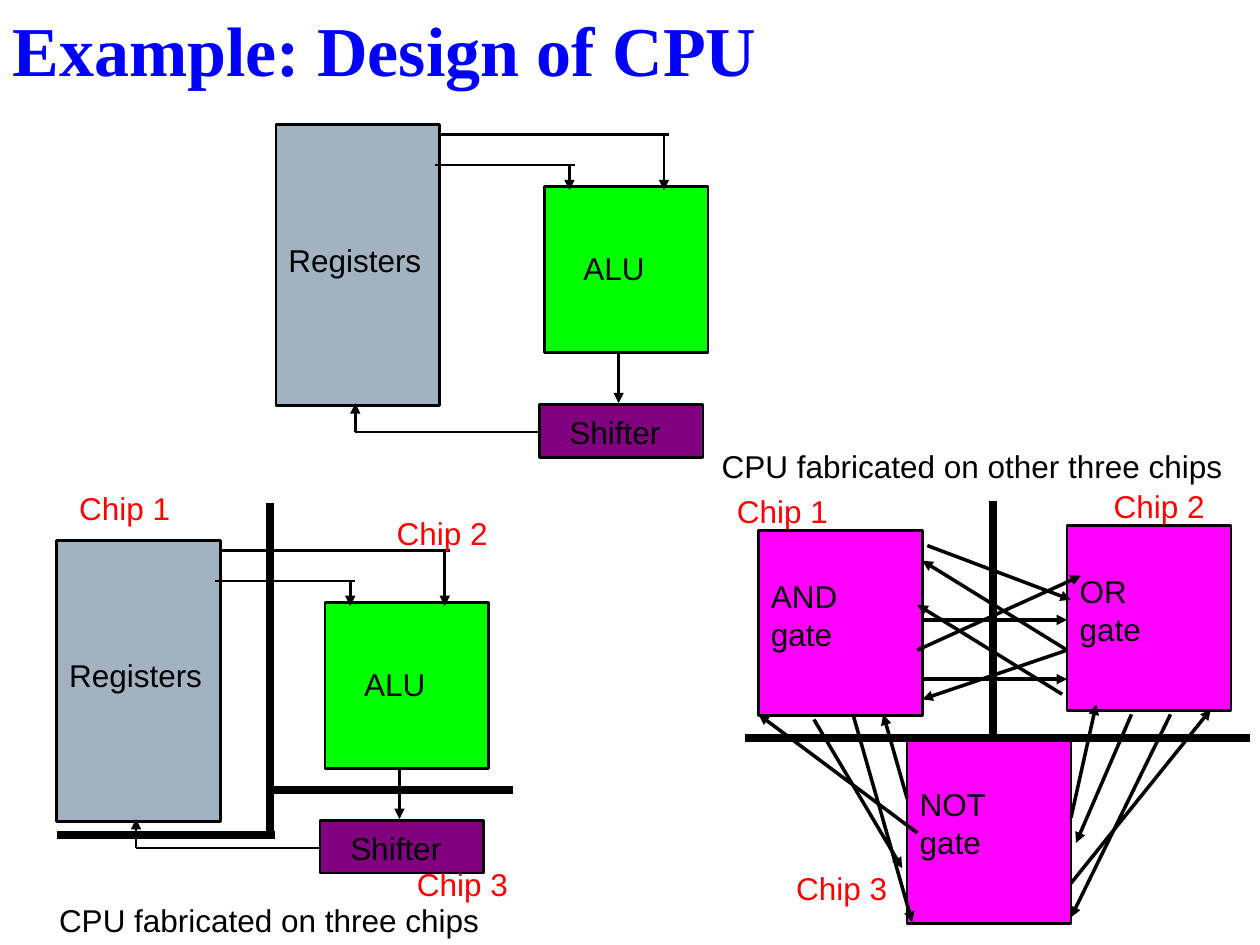
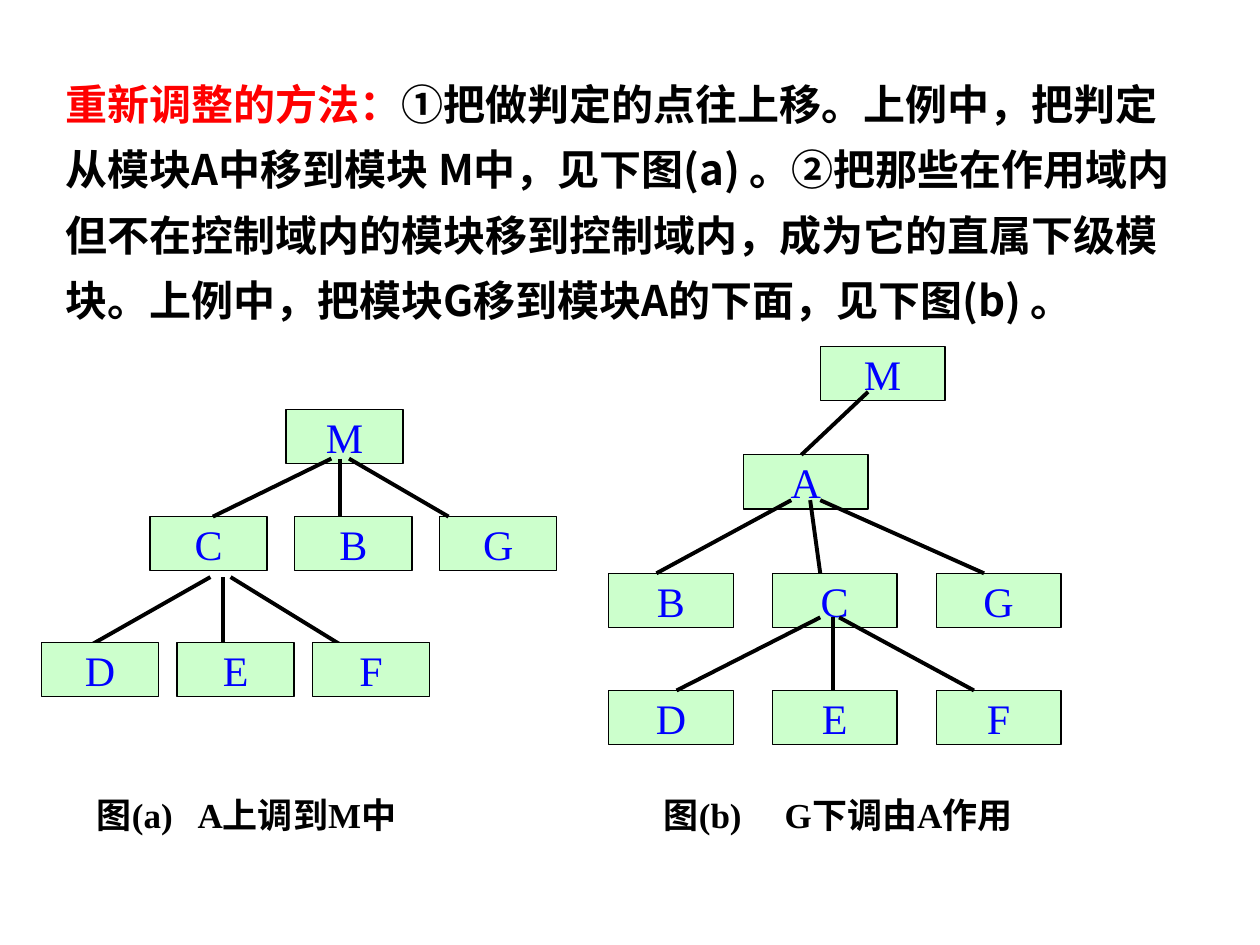
import dataclasses

import pptx
import pptx.dml.color
import pptx.enum.shapes
import pptx.enum.text
import pptx.oxml
import pptx.util
from pptx.oxml.ns import qn


@dataclasses.dataclass(frozen=True)
class Theme:
    sans: str = "Arial"
    serif: str = "Times New Roman"
    han: str = "Noto Sans CJK SC"
    black: str = "000000"
    blue: str = "0000FF"
    red: str = "FF0000"
    slate: str = "A3B2C1"
    green: str = "00FF00"
    purple: str = "800080"
    pink: str = "FF00FF"
    mint: str = "CCFFCC"
    title: int = 40
    body: int = 24
    caption: int = 20
    label: int = 18
    edge: float = 1.5
    wire: float = 2
    branch: float = 2.25
    wall: float = 4.5


theme = Theme()
rgb = pptx.dml.color.RGBColor.from_string
anchor = pptx.enum.text.MSO_ANCHOR
align = pptx.enum.text.PP_ALIGN

deck = pptx.Presentation()
deck.slide_width = pptx.util.Inches(10)
deck.slide_height = pptx.util.Inches(7.5)
# The slide is a grid of 100 columns and 75 rows; a cell is square.
cell = deck.slide_width / 100


def put(slide, place, text, face, size, color, bold=False, fill=None, edge=theme.edge,
        left=1, top=0.5, centre=False, shape=None):
    """Add a text box, or a filled box if fill is given, or format the given shape."""
    spot = [round(n * cell) for n in place]
    if shape is not None:
        shape.left, shape.top, shape.width, shape.height = spot
    elif fill:
        shape = slide.shapes.add_shape(pptx.enum.shapes.MSO_SHAPE.RECTANGLE, *spot)
        shape.shadow.inherit = False
        shape.fill.solid()
        shape.fill.fore_color.rgb = rgb(fill)
        shape.line.color.rgb = rgb(theme.black)
        shape.line.width = pptx.util.Pt(edge)
    else:
        shape = slide.shapes.add_textbox(*spot)
    frame = shape.text_frame
    frame.text = text
    frame.word_wrap = True
    frame.auto_size = pptx.enum.text.MSO_AUTO_SIZE.NONE
    frame.vertical_anchor = anchor.MIDDLE if centre else anchor.TOP
    frame.margin_left, frame.margin_top = round(left * cell), round(top * cell)
    frame.margin_right, frame.margin_bottom = round(cell), round(0.1 * cell)
    for par in frame.paragraphs:
        par.alignment = align.CENTER if centre else align.LEFT
        par.space_before = pptx.util.Pt(0)
        par.font.name, par.font.size, par.font.bold = face, pptx.util.Pt(size), bold
        par.font.color.rgb = rgb(color)
        for run in par.runs:
            east = run._r.get_or_add_rPr().makeelement(qn("a:ea"), {"typeface": theme.han})
            run._r.get_or_add_rPr().append(east)
    return shape


def link(slide, ends, width, arrow=False):
    line = slide.shapes.add_connector(
        pptx.enum.shapes.MSO_CONNECTOR.STRAIGHT, *[round(n * cell) for n in ends])
    line.line.color.rgb = rgb(theme.black)
    line.line.width = pptx.util.Pt(width)
    props = line._element.spPr
    if arrow:
        tail = props.makeelement(qn("a:tailEnd"), {"type": "triangle"})
        props.find(qn("a:ln")).append(tail)
    props.append(props.makeelement(qn("a:effectLst"), {}))


# Slide 1: a CPU, split over chips in two ways
cpu = deck.slides.add_slide(deck.slide_layouts[5])
put(cpu, (0, 0, 88.9, 7.7), "Example: Design of CPU", theme.serif, theme.title,
    theme.blue, bold=True, shape=cpu.shapes.title)

units = [  # name, place, fill, left and top inset
    ("Registers", (0, 0, 13, 22.3), theme.slate, 1, 9.2),
    ("ALU", (21.3, 4.9, 13, 13.2), theme.green, 3.1, 5),
    ("Shifter", (20.9, 22.2, 13, 4.2), theme.purple, 2.4, 0.7),
]
wires = [  # ends, arrow
    ((12.6, 3.2, 23.7, 3.2), False),
    ((13, 0.8, 31.2, 0.8), False),
    ((6.3, 24.4, 20.9, 24.4), False),
    ((6.3, 24.4, 6.3, 22.1), True),
    ((23.3, 3.2, 23.3, 5.2), True),
    ((30.8, 0.8, 30.8, 5.2), True),
    ((27.2, 18.1, 27.2, 22.1), True),
]
for x, y in ((21.9, 9.9), (4.5, 42.9)):
    for name, (dx, dy, w, h), fill, left, top in units:
        put(cpu, (x + dx, y + dy, w, h), name, theme.sans, theme.label, theme.black,
            fill=fill, left=left, top=top)
    for (x1, y1, x2, y2), arrow in wires:
        link(cpu, (x + x1, y + y1, x + x2, y + y2), theme.edge, arrow)

for name, x, y in (("NOT", 72, 58.6), ("OR", 84.7, 41.7), ("AND", 60.2, 42.1)):
    put(cpu, (x, y, 13, 14.7), name + "\ngate", theme.sans, theme.label, theme.black,
        fill=theme.pink, top=3.7)

walls = [
    (21.4, 39.9, 21.4, 66.3), (21.4, 62.7, 40.7, 62.7), (4.5, 66.3, 21.8, 66.3),
    (59.1, 58.6, 99.2, 58.6), (78.8, 58.3, 78.8, 39.8),
]
for ends in walls:
    link(cpu, ends, theme.wall)

signals = [
    # AND to OR
    (73.2, 49.2, 84.7, 49.2), (72.8, 51.6, 85.8, 45.7),
    (73.6, 43.3, 85, 47.6), (73.2, 53.9, 84.7, 53.9),
    # OR to AND
    (84.7, 51.6, 73.2, 44.5), (84.3, 55.1, 72.8, 48), (84.7, 51.6, 73.2, 55.5),
    # NOT with OR
    (85, 64.9, 87, 55.9), (92.9, 56.7, 85, 72.8),
    (85, 70.1, 96.1, 56.3), (89.8, 56.7, 85.4, 66.9),
    # NOT with AND
    (72.8, 66.1, 60.2, 56.7), (67.7, 56.7, 72.4, 73.2),
    (72, 63.4, 70.1, 56.7), (64.6, 57.1, 71.6, 68.9),
]
for ends in signals:
    link(cpu, ends, theme.wire, True)

labels = [
    ("Chip 1", 5.3, 38.3), ("Chip 2", 30.5, 40.3), ("Chip 3", 32.1, 68.2),
    ("Chip 1", 57.5, 38.6), ("Chip 2", 87.4, 38.2), ("Chip 3", 62.2, 68.5),
]
for text, x, y in labels:
    put(cpu, (x, y, 10.6, 4), text, theme.sans, theme.label, theme.red)
for text, x, y, w in (("CPU fabricated on three chips", 3.7, 71, 35.8),
                      ("CPU fabricated on other three chips", 56.3, 35, 43.7)):
    put(cpu, (x, y, w, 4), text, theme.sans, theme.label, theme.black)

# Slide 2: two ways to adjust a module tree
trees = deck.slides.add_slide(deck.slide_layouts[1])
title = trees.shapes.title._element
title.getparent().remove(title)
lead = "重新调整的方法："
rest = ("①把做判定的点往上移。上例中，把判定从模块A中移到模块 M中，见下图(a) 。"
        "②把那些在作用域内但不在控制域内的模块移到控制域内，成为它的直属下级模块。"
        "上例中，把模块G移到模块A的下面，见下图(b) 。")
body = put(trees, (4.2, 4.5, 89.8, 22), lead, theme.han, theme.body, theme.black,
           bold=True, shape=trees.placeholders[1])
par = body.text_frame.paragraphs[0]
par.line_spacing = 1.3
par.runs[0].font.color.rgb = rgb(theme.red)
run = par.add_run()
run.text = rest
run._r.get_or_add_rPr().append(
    run._r.makeelement(qn("a:ea"), {"typeface": theme.han}))
props = par._p.get_or_add_pPr()
props.set("marL", "0")
props.set("indent", "0")
props.find(qn("a:spcBef")).addnext(props.makeelement(qn("a:buNone"), {}))

# Each tree: node width, rows (names, first x, step, y), branches behind and in front
plans = [
    (9.3, [("M", 22.7, 0, 32.5), ("CBG", 11.9, 11.5, 41), ("DEF", 3.3, 10.75, 51)],
     [(17.7, 45.8, 17.7, 52.5), (16.7, 45.8, 4.9, 52.5), (18.3, 45.8, 29.2, 52.5)],
     [(27.7, 36.4, 35.6, 41), (26.3, 36.4, 16.9, 41), (27, 36.4, 27, 41)]),
    (9.9, [("M", 65.1, 0, 27.5), ("A", 59, 0, 36.1),
           ("BCG", 48.3, 13, 45.5), ("DEF", 48.3, 13, 54.8)],
     [],
     [(66.1, 49, 66.1, 54.8), (65.1, 49, 53.7, 54.8), (66.6, 49, 77.3, 54.8),
      (65.1, 39.7, 78.1, 45.5), (64.3, 39.7, 65.1, 45.5), (62.8, 39.7, 52.1, 45.5),
      (68.9, 31.1, 63.6, 36.1)]),
]
for width, rows, back, front in plans:
    for ends in back:
        link(trees, ends, theme.branch)
    for names, x, step, y in rows:
        for i, name in enumerate(names):
            put(trees, (x + i * step, y, width, 4.3), name, theme.serif, theme.body,
                theme.blue, fill=theme.mint, edge=0.75, top=0.1, centre=True)
    for ends in front:
        link(trees, ends, theme.branch)

for text, x, w, stop in (("图(a)\tA上调到M中", 6.7, 28.3, 8),
                         ("图(b)\tG下调由A作用", 51.7, 33.3, 9.6)):
    box = put(trees, (x, 62.5, w, 4.3), text, theme.serif, theme.caption,
              theme.black, bold=True)
    props = box.text_frame.paragraphs[0]._p.get_or_add_pPr()
    tabs = props.makeelement(qn("a:tabLst"), {})
    tabs.append(tabs.makeelement(qn("a:tab"), {"pos": str(round(stop * cell)), "algn": "l"}))
    props.find(qn("a:defRPr")).addprevious(tabs)

deck.save("out.pptx")
